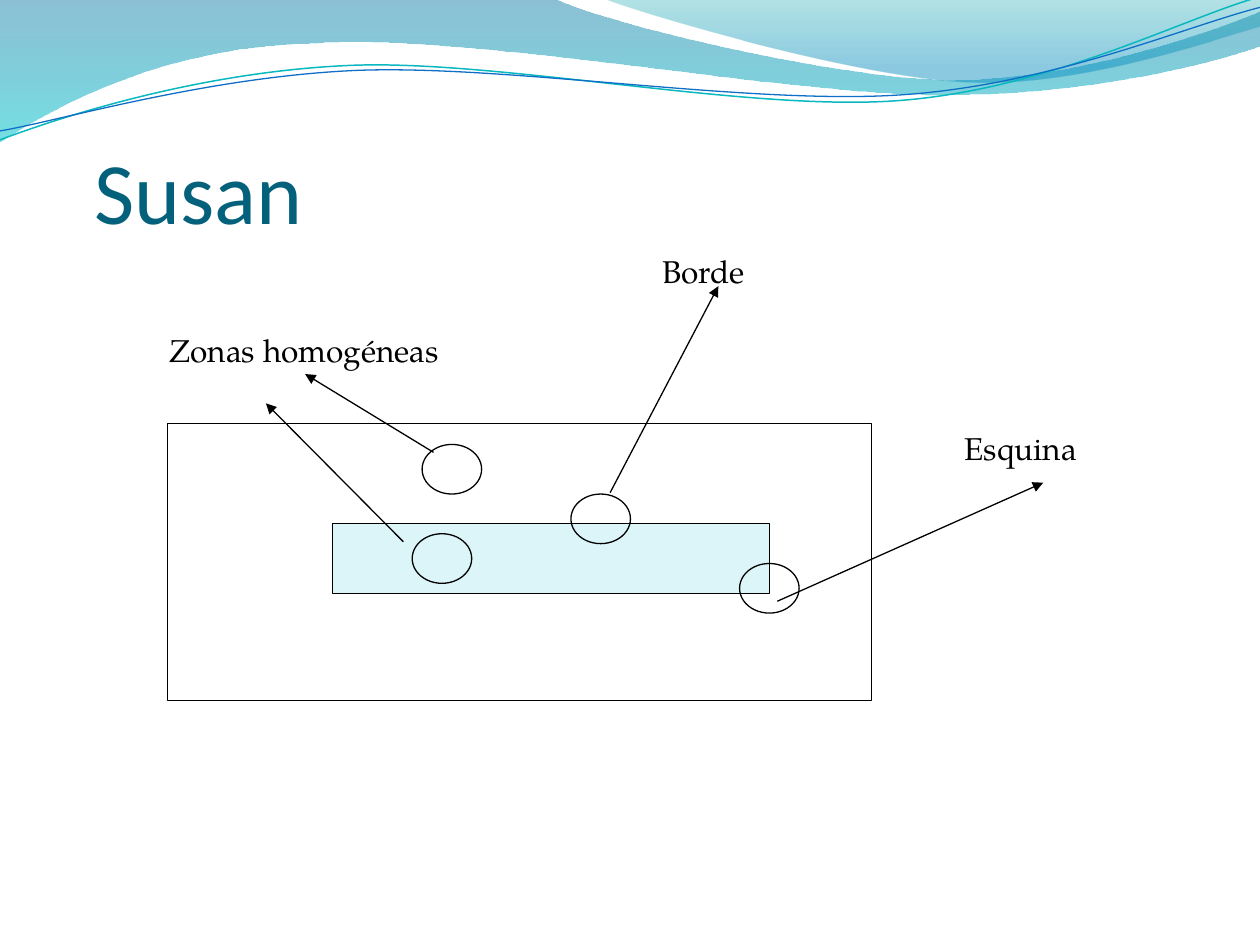
from typing import NamedTuple

from lxml.etree import Element, SubElement
from pptx import Presentation
from pptx.dml.color import RGBColor
from pptx.enum.shapes import MSO_CONNECTOR, MSO_SHAPE
from pptx.enum.text import MSO_ANCHOR, MSO_AUTO_SIZE, PP_ALIGN
from pptx.oxml.ns import qn
from pptx.util import Cm, Pt

BLACK = RGBColor(0x00, 0x00, 0x00)
TITLE_TEAL = RGBColor(0x04, 0x61, 0x7B)
PALE_CYAN = RGBColor(0xDB, 0xF5, 0xF9)
DEEP_BLUE = RGBColor(0x00, 0x74, 0xA1)
TURQUOISE = RGBColor(0x00, 0xC6, 0xCF)
SEA_GREEN = RGBColor(0x00, 0xA1, 0xA9)
SKY_BLUE = RGBColor(0x00, 0x8B, 0xBF)
LINE_TEAL = RGBColor(0x0A, 0xB8, 0xBF)
LINE_BLUE = RGBColor(0x0F, 0x6F, 0xC6)
LINE_WIDTH = Pt(0.75)

Point = tuple[float, float]
Segment = tuple[Point, ...]


class Stop(NamedTuple):
    position: float
    color: RGBColor
    opacity: int


class Band(NamedTuple):
    segments: list[Segment]
    stops: tuple[Stop, Stop]


class Wave(NamedTuple):
    segments: list[Segment]
    color: RGBColor
    width: float


class Box(NamedTuple):
    kind: MSO_SHAPE
    left: float
    top: float
    width: float
    height: float
    fill: RGBColor | None = None


class Label(NamedTuple):
    text: str
    left: float
    top: float


class Arrow(NamedTuple):
    start: Point
    end: Point


BANDS = [
    Band(
        [
            ((0, 0),),
            ((11.18, -0.03),),
            ((12.09, 0.43), (16.87, 1.6), (19.25, 1.6)),
            ((21.67, 1.6), (24.33, 0.66), (25.4, 0.23)),
            ((25.43, 0.91),),
            ((24.97, 1.12), (22.1, 1.93), (18.95, 1.91)),
            ((15.8, 1.91), (9.7, 0.71), (6.53, 0.86)),
            ((3.28, 0.91), (1.17, 2.11), (-0.03, 2.87)),
        ],
        (Stop(0, DEEP_BLUE, 45), Stop(1, TURQUOISE, 55)),
    ),
    Band(
        [
            ((12.17, -0.03),),
            ((12.93, 0.28), (17.32, 1.57), (19.53, 1.65)),
            ((21.74, 1.75), (24.41, 0.81), (25.4, 0.53)),
            ((25.4, 0),),
        ],
        (Stop(0, SEA_GREEN, 30), Stop(0.8, SKY_BLUE, 45)),
    ),
]
WAVES = [
    Wave(
        [
            ((0, 2.82),),
            ((1.22, 2.36), (4.01, 1.45), (7.04, 1.32)),
            ((10.03, 1.19), (15.06, 2.26), (18.11, 2.03)),
            ((21.16, 1.8), (23.83, 0.38), (25.35, -0.05)),
        ],
        LINE_TEAL,
        0.85,
    ),
    Wave(
        [
            ((0, 2.64),),
            ((1.19, 2.44), (4.17, 1.55), (7.19, 1.42)),
            ((10.24, 1.3), (15.16, 2.13), (18.21, 1.91)),
            ((21.23, 1.7), (23.9, 0.53), (25.4, 0.15)),
        ],
        LINE_BLUE,
        0.75,
    ),
]
RECTANGLES = [
    Box(MSO_SHAPE.RECTANGLE, 6.71, 10.56, 8.81, 1.4, PALE_CYAN),
    Box(MSO_SHAPE.RECTANGLE, 3.38, 8.54, 14.19, 5.59),
]
MASKS = [
    Box(MSO_SHAPE.OVAL, left, top, 1.2, 1)
    for left, top in [(8.51, 8.96), (11.51, 9.96), (14.91, 11.36), (8.31, 10.76)]
]
LABELS = [
    Label("Esquina", 19.2, 8.53),
    Label("Borde", 13.1, 4.95),
    Label("Zonas homogéneas", 3.17, 6.55),
]
ARROWS = [
    Arrow((15.67, 12.12), (21.03, 9.73)),
    Arrow((12.3, 9.93), (14.48, 5.77)),
    Arrow((8.13, 10.92), (5.36, 8.13)),
    Arrow((8.74, 9.12), (6.15, 7.54)),
]


def add_outline(slide, segments: list[Segment], close: bool):
    anchors = [(Cm(segment[-1][0]), Cm(segment[-1][1])) for segment in segments]
    builder = slide.shapes.build_freeform(*anchors[0])
    builder.add_line_segments(anchors[1:], close=close)
    shape = builder.convert_to_shape()
    shape.shadow.inherit = False
    lines = list(shape._element.iter(qn("a:lnTo")))
    for line, segment in zip(lines, segments[1:]):
        if len(segment) == 1:
            continue
        line.tag = qn("a:cubicBezTo")
        for index, (x, y) in enumerate(segment[:2]):
            control = Element(
                qn("a:pt"), x=str(Cm(x) - shape.left), y=str(Cm(y) - shape.top))
            line.insert(index, control)
    return shape


def add_band(slide, band: Band) -> None:
    shape = add_outline(slide, band.segments, True)
    shape.line.fill.background()
    shape.fill.gradient()
    shape.fill.gradient_angle = 270
    for gradient_stop, stop in zip(shape.fill.gradient_stops, band.stops):
        gradient_stop.position = stop.position
        gradient_stop.color.rgb = stop.color
    colors = list(shape._element.spPr.iter(qn("a:srgbClr")))
    for color, stop in zip(colors, band.stops):
        SubElement(color, qn("a:alpha"), val=str(stop.opacity * 1000))


def add_wave(slide, wave: Wave) -> None:
    shape = add_outline(slide, wave.segments, False)
    shape.fill.background()
    shape.line.color.rgb = wave.color
    shape.line.width = Pt(wave.width)


def add_box(slide, box: Box) -> None:
    shape = slide.shapes.add_shape(
        box.kind, Cm(box.left), Cm(box.top), Cm(box.width), Cm(box.height))
    shape.shadow.inherit = False
    if box.fill is None:
        shape.fill.background()
    else:
        shape.fill.solid()
        shape.fill.fore_color.rgb = box.fill
    shape.line.color.rgb = BLACK
    shape.line.width = LINE_WIDTH


def add_label(slide, label: Label) -> None:
    shape = slide.shapes.add_textbox(Cm(label.left), Cm(label.top), Cm(6.2), Cm(1.02))
    shape.text_frame.word_wrap = True
    paragraph = shape.text_frame.paragraphs[0]
    paragraph.text = label.text
    paragraph.font.size = Pt(18)
    paragraph.font.name = "TeX Gyre Pagella"
    paragraph.font.color.rgb = BLACK


def add_arrow(slide, arrow: Arrow) -> None:
    connector = slide.shapes.add_connector(
        MSO_CONNECTOR.STRAIGHT, *map(Cm, arrow.start), *map(Cm, arrow.end))
    connector.line.color.rgb = BLACK
    connector.line.width = LINE_WIDTH
    SubElement(connector.line._get_or_add_ln(), qn("a:tailEnd"), type="triangle")
    SubElement(connector._element.spPr, qn("a:effectLst"))


def set_title(slide, text: str) -> None:
    title = slide.shapes.title
    slide.shapes._spTree.append(title._element)
    title.left, title.top, title.width, title.height = map(Cm, (1.9, 1.7, 21.59, 3.17))
    frame = title.text_frame
    frame.text = text
    frame.auto_size = MSO_AUTO_SIZE.NONE
    frame.vertical_anchor = MSO_ANCHOR.BOTTOM
    frame.margin_left = frame.margin_right = frame.margin_bottom = 0
    paragraph = frame.paragraphs[0]
    paragraph.alignment = PP_ALIGN.LEFT
    paragraph.font.size = Pt(50)
    paragraph.font.name = "Calibri"
    paragraph.font.color.rgb = TITLE_TEAL


def main() -> None:
    presentation = Presentation()
    presentation.slide_width, presentation.slide_height = Cm(25.4), Cm(19.05)
    slide = presentation.slides.add_slide(presentation.slide_layouts[5])
    for draw, items in (
        (add_band, BANDS),
        (add_wave, WAVES),
        (set_title, ["Susan"]),
        (add_box, RECTANGLES + MASKS),
        (add_label, LABELS),
        (add_arrow, ARROWS),
    ):
        for item in items:
            draw(slide, item)
    presentation.save("out.pptx")


if __name__ == "__main__":
    main()
